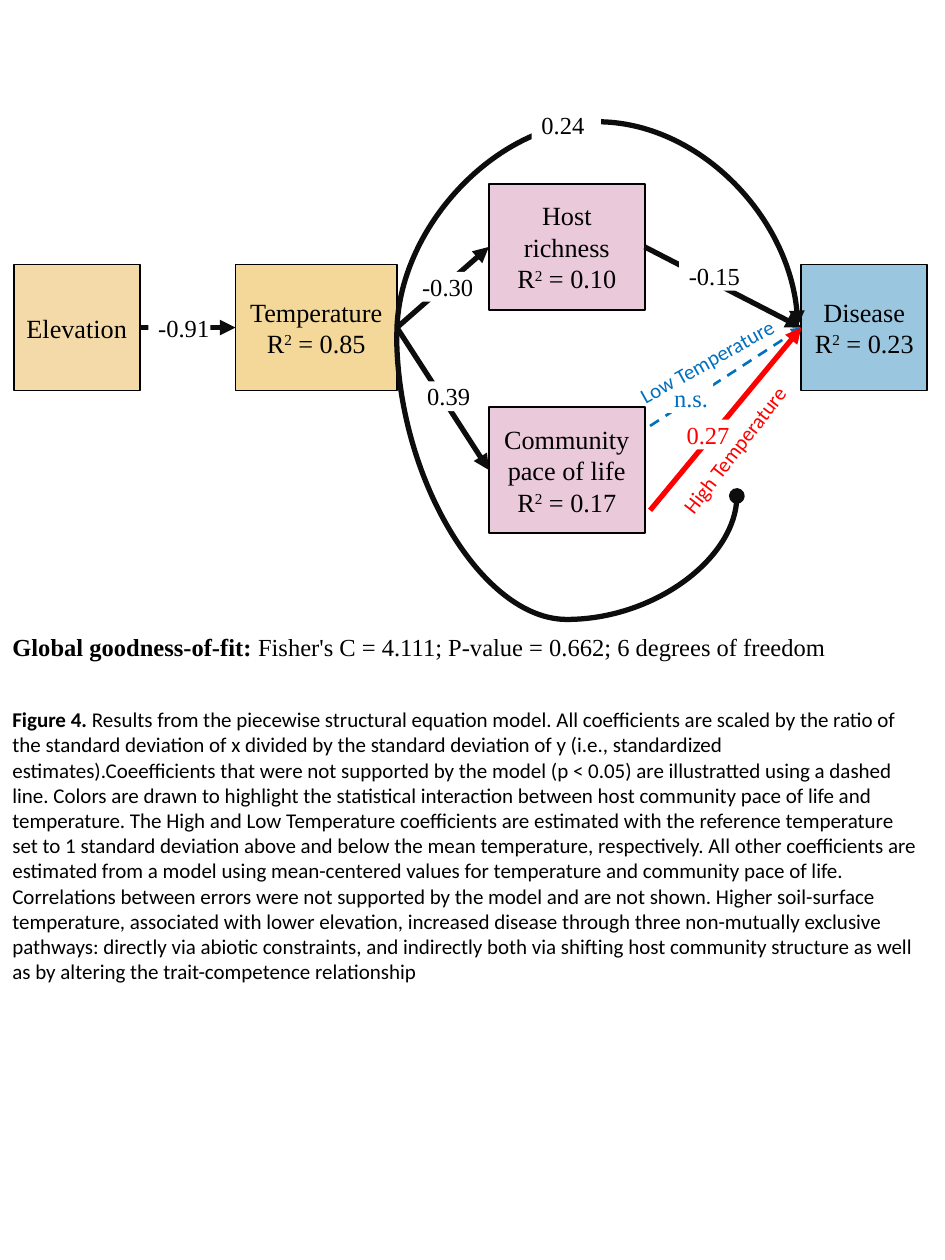
import pptx
import pptx.dml.color
import pptx.enum.dml
import pptx.enum.shapes
import pptx.enum.text
import pptx.oxml
import pptx.oxml.ns
import pptx.util
from lxml import etree

Pt = pptx.util.Pt
COLORS = {
    "text": "000000", "paper": "FFFFFF", "path": "0D0D0D",
    "low": "0070C0", "high": "FF0000",
    "elevation": "F5DAA9", "temperature": "E59F00",
    "host": "CC79A7", "disease": "0571B3",
}
SERIF, SANS = "Times New Roman", "Calibri"
BOX_HEIGHT = 72
MID_ROW = 151.2
CAPTION_SENTENCES = (
    "Results from the piecewise structural equation model.",
    "All coefficients are scaled by the ratio of the standard deviation of x divided by the "
    "standard deviation of y (i.e., standardized estimates).Coeefficients that were not "
    "supported by the model (p < 0.05) are illustratted using a dashed line.",
    "Colors are drawn to highlight the statistical interaction between host community pace "
    "of life and temperature.",
    "The High and Low Temperature coefficients are estimated with the reference temperature "
    "set to 1 standard deviation above and below the mean temperature, respectively.",
    "All other coefficients are estimated from a model using mean-centered values for "
    "temperature and community pace of life.",
    "Correlations between errors were not supported by the model and are not shown.",
    "Higher soil-surface temperature, associated with lower elevation, increased disease "
    "through three non-mutually exclusive pathways: directly via abiotic constraints, and "
    "indirectly both via shifting host community structure as well as by altering the "
    "trait-competence relationship",
)


def rgb(name):
    """Return the named colour."""
    return pptx.dml.color.RGBColor.from_string(COLORS[name])


def add_run(paragraph, text, size, font=SERIF, color="text", bold=False, raised=False):
    """Append one formatted run."""
    run = paragraph.add_run()
    run.text = text
    run.font.size = Pt(size)
    run.font.name = font
    run.font.bold = bold
    run.font.color.rgb = rgb(color)
    if raised:
        run.font._element.set("baseline", "30000")


def add_variable(slide, left, top, width, name, color, r_squared=None, alpha=None):
    """Draw a model variable with its name and explained variance."""
    variable = slide.shapes.add_shape(
        pptx.enum.shapes.MSO_SHAPE.FLOWCHART_PROCESS,
        Pt(left), Pt(top), Pt(width), Pt(BOX_HEIGHT))
    variable.shadow.inherit = False
    variable.fill.solid()
    variable.fill.fore_color.rgb = rgb(color)
    if alpha:
        tint = variable._element.spPr.find(".//" + pptx.oxml.ns.qn("a:srgbClr"))
        etree.SubElement(tint, pptx.oxml.ns.qn("a:alpha")).set("val", str(alpha * 1000))
    variable.line.color.rgb = rgb("text")
    variable.line.width = Pt(1)
    frame = variable.text_frame
    frame.word_wrap = True
    frame.vertical_anchor = pptx.enum.text.MSO_ANCHOR.MIDDLE
    heading = frame.paragraphs[0]
    heading.alignment = pptx.enum.text.PP_ALIGN.CENTER
    add_run(heading, name, 15)
    if r_squared:
        fit = frame.add_paragraph()
        fit.alignment = pptx.enum.text.PP_ALIGN.CENTER
        add_run(fit, "R", 15)
        add_run(fit, "2", 15, raised=True)
        add_run(fit, f" = {r_squared}", 15)


def style_path(path, color, width, head):
    """Set the line, end mark and lack of shadow of a path."""
    path.line.color.rgb = rgb(color)
    path.line.width = Pt(width)
    tail = etree.SubElement(path.line._get_or_add_ln(), pptx.oxml.ns.qn("a:tailEnd"))
    tail.set("type", head)
    etree.SubElement(path._element.spPr, pptx.oxml.ns.qn("a:effectLst"))


def add_path(slide, start, end, color="path", width=3, dashed=False):
    """Draw a straight arrow between two points."""
    path = slide.shapes.add_connector(
        pptx.enum.shapes.MSO_CONNECTOR.STRAIGHT, *map(Pt, start + end))
    if dashed:
        path.line.dash_style = pptx.enum.dml.MSO_LINE.DASH
    style_path(path, color, width, "triangle")


def add_arc(slide, left, top, width, height, turn, flips, reach, head):
    """Draw a turned curved connector that bulges by reach from its start."""
    arc = slide.shapes.add_connector(
        pptx.enum.shapes.MSO_CONNECTOR.CURVE,
        Pt(left), Pt(top), Pt(left + width), Pt(top + height))
    frame = arc._element.spPr.find(pptx.oxml.ns.qn("a:xfrm"))
    frame.set("rot", str(turn * 60000))
    for flip in flips:
        frame.set(flip, "1")
    geometry = arc._element.spPr.find(pptx.oxml.ns.qn("a:prstGeom"))
    adjustments = geometry.find(pptx.oxml.ns.qn("a:avLst"))
    if adjustments is None:
        adjustments = etree.SubElement(geometry, pptx.oxml.ns.qn("a:avLst"))
    guide = etree.SubElement(adjustments, pptx.oxml.ns.qn("a:gd"))
    guide.set("name", "adj1")
    guide.set("fmla", f"val {round(reach / width * 100000)}")
    style_path(arc, "path", 3, head)


def add_coefficient(slide, left, top, width, value, color="text"):
    """Place a coefficient on a white patch over its path."""
    patch = slide.shapes.add_shape(
        pptx.enum.shapes.MSO_SHAPE.RECTANGLE, Pt(left), Pt(top), Pt(width), Pt(17))
    patch.shadow.inherit = False
    patch.fill.solid()
    patch.fill.fore_color.rgb = rgb("paper")
    patch.line.fill.background()
    frame = patch.text_frame
    frame.word_wrap = True
    frame.vertical_anchor = pptx.enum.text.MSO_ANCHOR.TOP
    frame.margin_left = Pt(5.6)
    frame.margin_top = frame.margin_right = frame.margin_bottom = 0
    frame.paragraphs[0].alignment = pptx.enum.text.PP_ALIGN.LEFT
    add_run(frame.paragraphs[0], value, 14, color=color)


def add_text(slide, left, top, width, height, runs, size, font, color="text", turn=0, wrap=True):
    """Add a text box from (text, bold) runs."""
    box = slide.shapes.add_textbox(Pt(left), Pt(top), Pt(width), Pt(height))
    box.rotation = turn
    box.text_frame.word_wrap = wrap
    box.text_frame.auto_size = pptx.enum.text.MSO_AUTO_SIZE.SHAPE_TO_FIT_TEXT
    for text, bold in runs:
        add_run(box.text_frame.paragraphs[0], text, size, font, color, bold)


def main():
    """Build the path diagram with its caption."""
    deck = pptx.Presentation()
    deck.slide_width, deck.slide_height = Pt(540), Pt(720)
    slide = deck.slides.add_slide(deck.slide_layouts[6])

    add_variable(slide, 7.9, MID_ROW, 72, "Elevation", "elevation")
    for left, top, width, name, color, r_squared in (
            (134.6, MID_ROW, 92.2, "Temperature", "temperature", "0.85"),
            (279.4, 105.1, 89, "Host richness", "host", "0.10"),
            (279.4, 232.6, 89, "Community pace of life", "host", "0.17"),
            (457.9, MID_ROW, 72, "Disease", "disease", "0.23")):
        add_variable(slide, left, top, width, name, color, r_squared, alpha=40)

    middle = MID_ROW + BOX_HEIGHT / 2
    temperature, disease = (226.8, middle), (457.9, middle)
    host_in, host_out = (279.4, 141.1), (368.4, 141.1)
    add_path(slide, host_out, disease)
    add_path(slide, temperature, host_in)
    add_arc(slide, 339.1, 74.2, 4.3, 229, 90, ("flipH", "flipV"), 121, "triangle")
    add_path(slide, (371.5, 243.4), disease, "low", 1.5, dashed=True)
    add_arc(slide, 277.6, 139.9, 92.6, 194.4, 270, ("flipH",), 163.2, "oval")
    add_path(slide, temperature, (279.4, 268.6))
    add_path(slide, (79.9, middle), (134.6, middle))
    add_path(slide, (371.5, 291.6), disease, "high")

    for left, top, width, value, color in (
            (303.8, 62.7, 39.6, "0.24", "text"),
            (388, 149.2, 36.7, "-0.15", "text"),
            (235.6, 155.4, 36.7, "-0.30", "text"),
            (238.5, 218, 31, "0.39", "text"),
            (84.8, 178.6, 35.5, "-0.91", "text"),
            (379.6, 219, 28, "n.s.", "low"),
            (386.7, 239.8, 35.3, "0.27", "high")):
        add_coefficient(slide, left, top, width, value, color)

    add_text(slide, 354.2, 195.1, 100.8, 21.8, [("Low Temperature", False)],
             12, SANS, "low", 331, wrap=False)
    add_text(slide, 368.6, 245.5, 103, 21.8, [("High Temperature", False)],
             12, SANS, "high", 307.8, wrap=False)
    add_text(slide, 0, 357.8, 540, 24.2,
             [("Global goodness-of-fit: ", True),
              ("Fisher's C = 4.111; P-value = 0.662; 6 degrees of freedom", False)], 14, SERIF)
    add_text(slide, 0, 400.3, 532, 181.4,
             [("Figure 4. ", True), (" ".join(CAPTION_SENTENCES), False)], 12, SANS)
    deck.save("out.pptx")


main()
